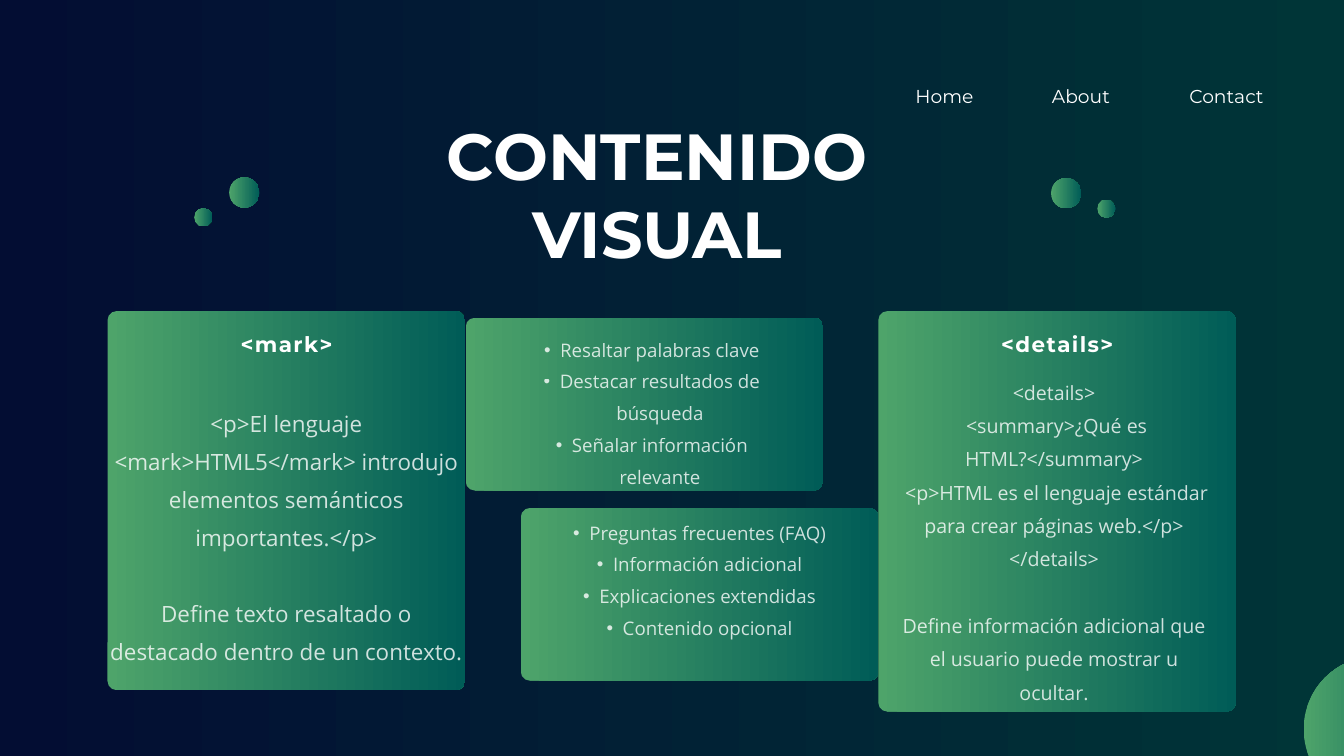
from lxml.etree import SubElement
from pptx import Presentation
from pptx.dml.color import RGBColor
from pptx.enum.shapes import MSO_SHAPE
from pptx.enum.text import MSO_AUTO_SIZE, PP_ALIGN
from pptx.oxml.ns import qn
from pptx.util import Inches, Pt

# Content: boxes are (left, top, width, height) in inches
HEADING, BODY = "Montserrat", "Open Sans"
WHITE = "FFFFFF"
BACKGROUND = ("030D33", "003537")
GREEN = ("4EA46A", "005C57")
CARD_RADIUS = 0.135

MENU = [("Home", 13.55, 1.01), ("About", 15.58, 1.01), ("Contact", 17.62, 1.26)]
TITLE = ["CONTENIDO", "VISUAL"]

CIRCLES = [  # left, top, diameter
    (2.89, 3.1, 0.27), (16.33, 2.97, 0.27),
    (3.41, 2.64, 0.45), (15.64, 2.65, 0.45),
    (19.4, 9.77, 2.16),
]

TAG_CARDS = [
    {
        "card": (1.6, 4.63, 5.32, 5.64),
        "heading": "<mark>", "heading_box": (2.39, 4.86, 3.75, 0.43),
        "code": ["<p>El lenguaje <mark>HTML5</mark> introdujo elementos "
                 "semánticos importantes.</p>"],
        "meaning": "Define texto resaltado o destacado dentro de un contexto.",
        "body_box": (1.6, 5.93, 5.32, 3.89), "size": 24,
    },
    {
        "card": (13.07, 4.63, 5.32, 5.96),
        "heading": "<details>", "heading_box": (13.66, 4.86, 4.15, 0.43),
        "code": ["<details>",
                 " <summary>¿Qué es HTML?</summary>",
                 " <p>HTML es el lenguaje estándar para crear páginas web.</p>",
                 "</details>"],
        "meaning": "Define información adicional que el usuario puede "
                   "mostrar u ocultar.",
        "body_box": (13.29, 5.52, 4.79, 4.85), "size": 21,
    },
]

USE_CARDS = [
    {
        "card": (6.93, 4.73, 5.32, 2.57), "box": (7.51, 4.9, 4.15, 2.79),
        "uses": ["Resaltar palabras clave",
                 "Destacar resultados de búsqueda",
                 "Señalar información relevante"],
    },
    {
        "card": (7.75, 7.56, 5.32, 2.57), "box": (8.22, 7.62, 4.15, 2.32),
        "uses": ["Preguntas frecuentes (FAQ)", "Información adicional",
                 "Explicaciones extendidas", "Contenido opcional"],
    },
]


def color(value):
    return RGBColor.from_string(value)


def fill_gradient(fill, colors):
    fill.gradient()
    fill.gradient_angle = 0
    for stop, value in zip(fill.gradient_stops, colors):
        stop.color.rgb = color(value)


def add_green_shape(page, kind, box):
    shape = page.shapes.add_shape(kind, *map(Inches, box))
    shape.shadow.inherit = False
    shape.line.fill.background()
    fill_gradient(shape.fill, GREEN)
    return shape


def add_card(page, box):
    card = add_green_shape(page, MSO_SHAPE.ROUNDED_RECTANGLE, box)
    card.adjustments[0] = CARD_RADIUS / min(box[2:])


def add_bullet(para):
    para.level = 1
    properties = para._p.get_or_add_pPr()
    properties.set("marL", str(Inches(0.47)))
    properties.set("indent", str(Inches(-0.24)))
    SubElement(properties, qn("a:buFont")).set("typeface", "Arial")
    SubElement(properties, qn("a:buChar")).set("char", "•")


def add_text(page, lines, box, size, spacing, font=HEADING, bold=False,
             tracking=0, opacity=100, bullets=False, gap_before_last=0):
    text_box = page.shapes.add_textbox(*map(Inches, box))
    frame = text_box.text_frame
    frame.word_wrap = True
    frame.auto_size = MSO_AUTO_SIZE.SHAPE_TO_FIT_TEXT
    frame.margin_left = frame.margin_right = 0
    frame.margin_top = frame.margin_bottom = 0
    for index, line in enumerate(lines):
        para = frame.paragraphs[0] if index == 0 else frame.add_paragraph()
        if bullets:
            add_bullet(para)
        para.alignment = PP_ALIGN.CENTER
        para.line_spacing = Pt(spacing)
        span = para.add_run()
        span.text = line
        span.font.name = font
        span.font.size = Pt(size)
        span.font.bold = bold
        span.font.color.rgb = color(WHITE)
        properties = span._r.get_or_add_rPr()
        if tracking:
            properties.set("spc", str(round(tracking * 100)))
        if opacity < 100:
            tone = properties.find(".//" + qn("a:srgbClr"))
            SubElement(tone, qn("a:alpha")).set("val", str(opacity * 1000))
    if gap_before_last:
        para.space_before = Pt(gap_before_last)


def add_body(page, lines, box, size, **options):
    add_text(page, lines, box, size, size * 1.7, font=BODY, opacity=80, **options)


def main():
    deck = Presentation()
    deck.slide_width, deck.slide_height = Inches(20), Inches(11.25)
    page = deck.slides.add_slide(deck.slide_layouts[6])
    fill_gradient(page.background.fill, BACKGROUND)

    # Menu and title
    for label, left, width in MENU:
        add_text(page, [label], (left, 1.21, width, 0.36), 20, 28)
    add_text(page, TITLE, (2.89, 1.72, 13.78, 2.31), 69.8, 83.8, bold=True)

    # Decorative circles
    for left, top, diameter in CIRCLES:
        add_green_shape(page, MSO_SHAPE.OVAL, (left, top, diameter, diameter))

    # One card for each tag
    for tag in TAG_CARDS:
        add_card(page, tag["card"])
        add_text(page, [tag["heading"]], tag["heading_box"], 23, 32.2,
                 bold=True, tracking=1.5)
        add_body(page, tag["code"] + [tag["meaning"]], tag["body_box"],
                 tag["size"], gap_before_last=tag["size"] * 1.7)

    # Cards listing the uses
    for group in USE_CARDS:
        add_card(page, group["card"])
        add_body(page, group["uses"], group["box"], 20, bullets=True)

    deck.save("out.pptx")


if __name__ == "__main__":
    main()
